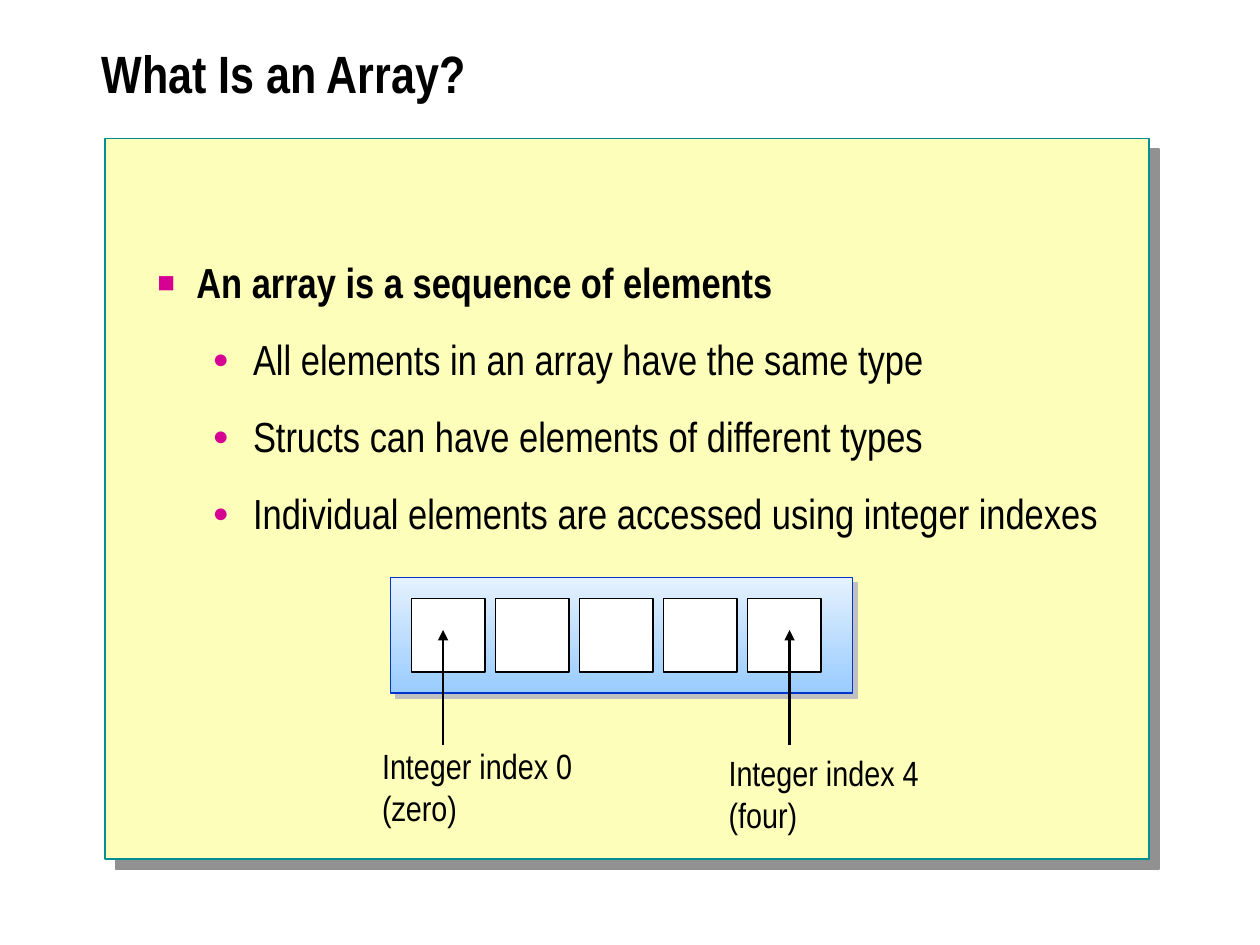
"""Build the "What Is an Array?" slide on a grid of 120 columns by 90 rows."""
import pptx
import pptx.util
import pptx.dml.color
import pptx.enum.shapes
import pptx.enum.text
import pptx.oxml
import pptx.oxml.ns

RGBColor = pptx.dml.color.RGBColor
BLACK = RGBColor(0x00, 0x00, 0x00)
WHITE = RGBColor(0xFF, 0xFF, 0xFF)
CREAM = RGBColor(0xFC, 0xFE, 0xB9)
TEAL = RGBColor(0x00, 0x90, 0x94)
BLUE = RGBColor(0x00, 0x33, 0xCC)
PALE = RGBColor(0xE5, 0xF1, 0xFE)
SKY = RGBColor(0x99, 0xCC, 0xFF)
MAGENTA = RGBColor(0xD6, 0x00, 0x93)
GREY = RGBColor(0x91, 0x91, 0x91)
SILVER = RGBColor(0xC0, 0xC0, 0xC0)
FONT = "Arial Narrow"
NS = pptx.oxml.ns.nsdecls("a")

prs = pptx.Presentation()
prs.slide_width = pptx.util.Inches(10)
prs.slide_height = pptx.util.Inches(7.5)
UNIT = prs.slide_width / 120
s = prs.slides.add_slide(prs.slide_layouts[6])


def add_box(area, line, width, shadow=None, distance=0):
    sp = s.shapes.add_shape(pptx.enum.shapes.MSO_SHAPE.RECTANGLE, *(round(v * UNIT) for v in area))
    sp.shadow.inherit = False
    sp.line.color.rgb = line
    sp.line.width = pptx.util.Pt(width)
    if shadow is not None:
        effects = sp._element.spPr.find(pptx.oxml.ns.qn("a:effectLst"))
        effects.append(pptx.oxml.parse_xml(
            f'<a:outerShdw {NS} dist="{pptx.util.Pt(distance)}" dir="2700000" algn="ctr" rotWithShape="0">'
            f'<a:srgbClr val="{shadow}"/></a:outerShdw>'))
    return sp


def add_text(area, lines, size, bold_first=False, wrap=True):
    sp = s.shapes.add_textbox(*(round(v * UNIT) for v in area))
    tf = sp.text_frame
    tf.text = "\n".join(lines)
    tf.word_wrap = wrap
    for i, p in enumerate(tf.paragraphs):
        for r in p.runs:
            r.font.name = FONT
            r.font.size = pptx.util.Pt(size)
            r.font.bold = bold_first and i == 0
            r.font.color.rgb = BLACK
    return tf


panel = add_box((10, 13.2, 99.4, 68.6), TEAL, 1, GREY, 8.5)
panel.fill.solid()
panel.fill.fore_color.rgb = CREAM

tf = add_text((8.5, 2, 107.5, 11), ["What Is an Array?"], 30, bold_first=True)
tf.vertical_anchor = pptx.enum.text.MSO_ANCHOR.MIDDLE
tf.paragraphs[0].line_spacing = 0.8

tf = add_text((13.8, 24.4, 94.4, 56.3), [
    "An array is a sequence of elements",
    "All elements in an array have the same type",
    "Structs can have elements of different types",
    "Individual elements are accessed using integer indexes",
], 24, bold_first=True)
for i, p in enumerate(tf.paragraphs):
    level, margin, indent, mark, share = (1, 0.76, -0.32, "●", 65) if i else (0, 0.31, -0.31, "■", 70)
    p.level = level
    p.line_spacing = 0.9
    p.space_before = pptx.util.Pt(18 if i else 0)
    pPr = p._p.get_or_add_pPr()
    pPr.set("marL", str(pptx.util.Inches(margin)))
    pPr.set("indent", str(pptx.util.Inches(indent)))
    for bullet in (f'<a:buClr {NS}><a:srgbClr val="{MAGENTA}"/></a:buClr>',
                   f'<a:buSzPct {NS} val="{share * 1000}"/>',
                   f'<a:buFont {NS} typeface="Arial"/>',
                   f'<a:buChar {NS} char="{mark}"/>'):
        pPr.append(pptx.oxml.parse_xml(bullet))

array = add_box((37.2, 55, 44, 11), BLUE, 0.75, SILVER, 4.2)
array.fill.gradient()
array.fill.gradient_angle = 270
for stop, position, color in zip(array.fill.gradient_stops, (0, 1), (PALE, SKY)):
    stop.position = position
    stop.color.rgb = color

for i in range(5):
    cell = add_box((39.2 + 8 * i, 57, 7, 7), BLACK, 0.75)
    cell.fill.solid()
    cell.fill.fore_color.rgb = WHITE

for area, lines, x, wrap in (
    ((35.2, 70.3, 20.5, 9.2), ["Integer index 0", "(zero)"], 42.2, False),
    ((68.2, 71, 25.8, 9.2), ["Integer index 4", "(four)"], 75.2, True),
):
    add_text(area, lines, 20, wrap=wrap)
    arrow = s.shapes.add_connector(pptx.enum.shapes.MSO_CONNECTOR.STRAIGHT,
                                   *(round(v * UNIT) for v in (x, 71, x, 60)))
    arrow.line.color.rgb = BLACK
    arrow.line.width = pptx.util.Pt(1.5)
    arrow.line._get_or_add_ln().append(pptx.oxml.parse_xml(f'<a:tailEnd {NS} type="triangle"/>'))
    arrow._element.spPr.append(pptx.oxml.parse_xml(f"<a:effectLst {NS}/>"))

prs.save("out.pptx")
